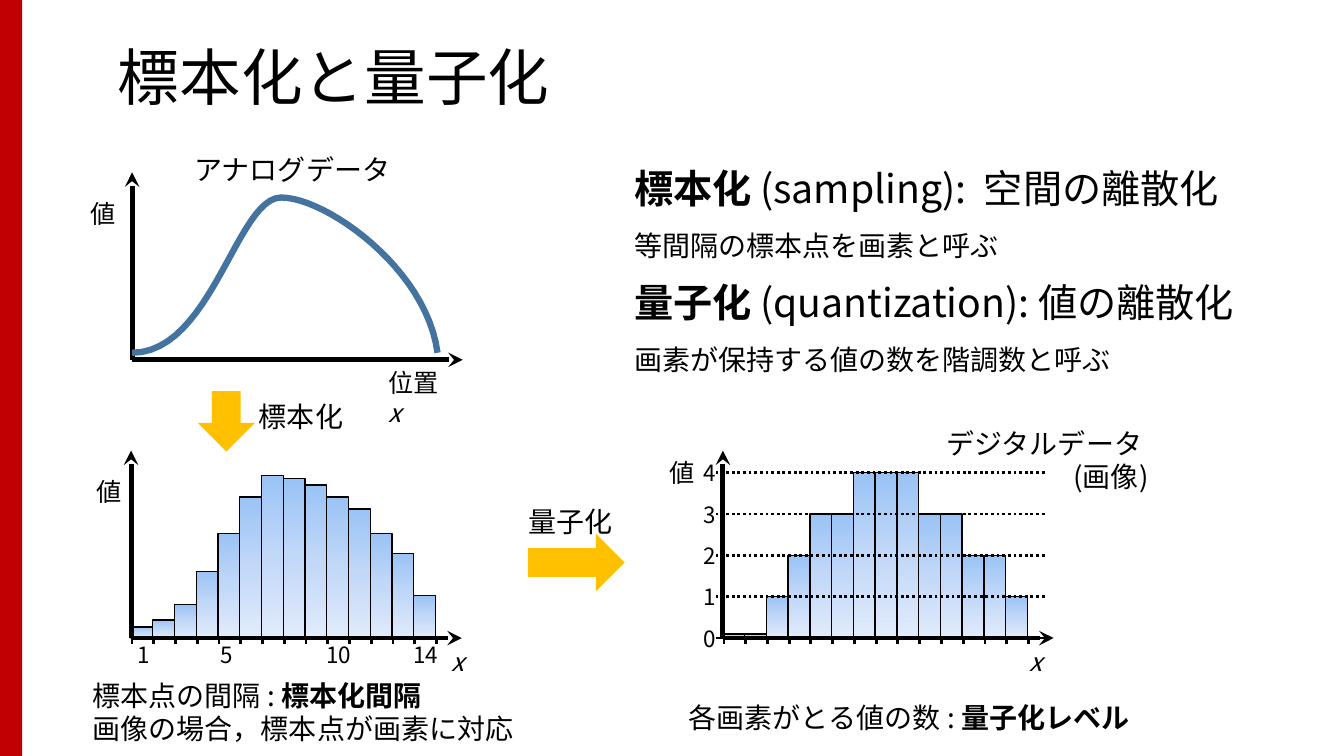
"""Builds a slide on sampling and quantization of an analog signal."""
from copy import deepcopy

from lxml.etree import SubElement
from pptx import Presentation
from pptx.dml.color import RGBColor
from pptx.enum.dml import MSO_LINE
from pptx.enum.shapes import MSO_CONNECTOR, MSO_SHAPE as SHAPE
from pptx.enum.text import MSO_ANCHOR as ANCHOR, MSO_AUTO_SIZE as AUTO, PP_ALIGN as ALIGN
from pptx.oxml.ns import qn
from pptx.util import Inches, Pt

FONT = "Noto Sans CJK JP"
COLORS = {"text": "000000", "band": "C00000", "curve": "43739E", "arrow": "FFC000"}
BAR_SHADES = ["9AC3F5", "C2D8F8", "E1EBFB"]
WIDTH, HEIGHT = 13.33, 7.5

TITLE = "標本化と量子化"
BOLD, ITALIC = "bold", "italic"
DEFINITIONS = [
    [("標本化", 28, BOLD), (" (sampling):  空間の離散化", 28)],
    [("等間隔の標本点を画素と呼ぶ", 20)],
    [("量子化 ", 28, BOLD), ("(quantization): 値の離散化", 28)],
    [("画素が保持する値の数を階調数と呼ぶ", 20)],
]
LABELS = [
    ((1.83, 1.46, 2.17, 0.44), [[("アナログデータ", 20)]]),
    ((0.8, 1.92, 0.45, 0.4), [[("値", 18)]]),
    ((6.54, 4.49, 0.45, 0.4), [[("値", 18)]]),
    ((0.86, 4.68, 0.45, 0.4), [[("値", 18)]]),
    ((10.11, 6.36, 0.34, 0.4), [[("x", 18, ITALIC)]]),
    ((4.38, 6.36, 0.34, 0.4), [[("x", 18, ITALIC)]]),
    ((2.47, 3.91, 1.04, 0.44), [[("標本化", 20)]]),
    ((5.14, 4.96, 1.04, 0.44), [[("量子化", 20)]]),
    ((0.82, 6.68, 4.41, 0.77), [[("標本点の間隔 : ", 20), ("標本化間隔", 20, BOLD)],
                                [("画像の場合，標本点が画素に対応", 20)]]),
    ((6.73, 6.9, 4.72, 0.44), [[("各画素がとる値の数 : ", 20), ("量子化レベル", 20, BOLD)]]),
]
POSITION = [[("位置", 18), ("x", 18, ITALIC)]]
DIGITAL = [[("デジタルデータ ", 20)], [("(画像)", 20)]]
SAMPLE_NUMBERS = [("1", 1.27, 0.34), ("5", 2.09, 0.34), ("10", 3.14, 0.48), ("14", 4.0, 0.48)]

ANALOG_ORIGIN, SAMPLED_ORIGIN, DIGITAL_ORIGIN = (1.31, 3.57), (1.3, 6.33), (7.17, 6.33)
AXIS_X, AXIS_Y = 3.28, 1.86
CURVE = [((1.31, 3.5), (2.1, 3.5), (2.35, 1.96), (2.79, 1.96)),
         ((2.79, 1.96), (3.23, 1.96), (4.23, 2.66), (4.34, 3.5))]
CURVE_STEPS = 24
SAMPLES = [0.11, 0.18, 0.33, 0.66, 1.04, 1.4, 1.61, 1.58, 1.52, 1.4, 1.28, 1.04, 0.84, 0.42]
LEVELS = [0, 0, 1, 2, 3, 3, 4, 4, 4, 3, 3, 2, 2, 1]
LEVEL_STEP, ZERO_BAR = 0.41, 0.04
BAR_PITCH = 3.02 / len(SAMPLES)
TICK = 0.06

prs = Presentation()
prs.slide_width, prs.slide_height = Inches(WIDTH), Inches(HEIGHT)
slide = prs.slides.add_slide(prs.slide_layouts[5])
shapes = slide.shapes


def rgb(name):
    return RGBColor.from_string(COLORS[name])


def box(*lengths):
    return [Inches(length) for length in lengths]


def write(frame, paragraphs, align=ALIGN.LEFT, before=0):
    for index, runs in enumerate(paragraphs):
        paragraph = frame.add_paragraph() if index else frame.paragraphs[0]
        paragraph.alignment = align
        paragraph.space_before = Pt(before)
        for text, size, *style in runs:
            run = paragraph.add_run()
            run.text = text
            font = run.font
            font.name, font.size, font.color.rgb = FONT, Pt(size), rgb("text")
            font.bold, font.italic = BOLD in style, ITALIC in style
            SubElement(font._element, qn("a:ea"), typeface=FONT)


def add_label(place, paragraphs, wrap=False, **layout):
    frame = shapes.add_textbox(*box(*place)).text_frame
    frame.word_wrap = wrap
    frame.auto_size = AUTO.SHAPE_TO_FIT_TEXT
    write(frame, paragraphs, **layout)


def add_line(start, end, width, arrow=False, dotted=False):
    connector = shapes.add_connector(MSO_CONNECTOR.STRAIGHT, *box(*start, *end))
    line = connector.line
    line.color.rgb, line.width = rgb("text"), Pt(width)
    if dotted:
        line.dash_style = MSO_LINE.ROUND_DOT
    if arrow:
        SubElement(line._get_or_add_ln(), qn("a:tailEnd"), type="stealth")
    SubElement(connector._element.spPr, qn("a:effectLst"))


def add_block(kind, place, color):
    block = shapes.add_shape(kind, *box(*place))
    block.shadow.inherit = False
    block.fill.solid()
    block.fill.fore_color.rgb = rgb(color)
    block.line.fill.background()
    return block


def add_bar(left, base, height):
    bar = shapes.add_shape(SHAPE.RECTANGLE, *box(left, base - height, BAR_PITCH, height))
    bar.shadow.inherit = False
    bar.line.color.rgb, bar.line.width = rgb("text"), Pt(1)
    bar.fill.gradient()
    bar.fill.gradient_angle = 270
    stop_list = bar._element.spPr.find(".//" + qn("a:gsLst"))
    stop_list.insert(1, deepcopy(stop_list[0]))
    for index, (stop, shade) in enumerate(zip(bar.fill.gradient_stops, BAR_SHADES)):
        stop.position = index / 2
        stop.color.rgb = RGBColor.from_string(shade)


def add_axes(origin):
    x, y = origin
    add_line(origin, (x + AXIS_X, y), 3.5, arrow=True)
    add_line(origin, (x, y - AXIS_Y), 3.5, arrow=True)


def add_histogram(origin, heights):
    x, base = origin
    for index, height in enumerate(heights):
        add_bar(x + index * BAR_PITCH, base, height)
    add_axes(origin)
    for index in range(len(heights) + 1):
        tick = x + 0.01 + index * BAR_PITCH
        add_line((tick, base), (tick, base + TICK), 2)


def bezier(points, t):
    weights = ((1 - t) ** 3, 3 * t * (1 - t) ** 2, 3 * t * t * (1 - t), t ** 3)
    return [Inches(sum(w * p[axis] for w, p in zip(weights, points))) for axis in (0, 1)]


def add_curve():
    trace = [bezier(part, step / CURVE_STEPS) for part in CURVE for step in range(CURVE_STEPS + 1)]
    builder = shapes.build_freeform(*trace[0])
    builder.add_line_segments(trace[1:], close=False)
    curve = builder.convert_to_shape()
    curve.shadow.inherit = False
    curve.fill.background()
    curve.line.color.rgb, curve.line.width = rgb("curve"), Pt(4.5)


def add_title():
    title = shapes.title
    title.left, title.top, title.width, title.height = box(1.07, 0.4, 11.06, 0.8)
    frame = title.text_frame
    frame.auto_size, frame.vertical_anchor = AUTO.NONE, ANCHOR.MIDDLE
    write(frame, [[(TITLE, 44)]])
    frame.paragraphs[0].line_spacing = 0.9


def main():
    add_block(SHAPE.RECTANGLE, (0, 0, 0.22, HEIGHT), "band")
    add_title()
    add_axes(ANALOG_ORIGIN)
    add_curve()
    add_histogram(DIGITAL_ORIGIN, [level * LEVEL_STEP or ZERO_BAR for level in LEVELS])
    for level in range(max(LEVELS) + 1):
        y = DIGITAL_ORIGIN[1] - level * LEVEL_STEP
        add_line((10.36, y), (7.1, y), 2, dotted=level > 0)
        add_label((6.88, y - 0.18, 0.34, 0.37), [[(str(level), 16)]])
    add_histogram(SAMPLED_ORIGIN, SAMPLES)
    for number, left, width in SAMPLE_NUMBERS:
        add_label((left, 6.31, width, 0.37), [[(number, 16)]])
    add_block(SHAPE.DOWN_ARROW, (1.96, 3.88, 0.57, 0.6), "arrow")
    add_block(SHAPE.DOWN_ARROW, (5.43, 5.1, 0.57, 0.96), "arrow").rotation = 270
    for place, paragraphs in LABELS:
        add_label(place, paragraphs)
    add_label((3.75, 3.59, 0.75, 0.4), POSITION, wrap=True)
    add_label((9.23, 4.18, 2.26, 0.77), DIGITAL, align=ALIGN.RIGHT)
    add_label((6.19, 1.58, 7.14, 2.22), DEFINITIONS, wrap=True, before=12)
    prs.save("out.pptx")


if __name__ == "__main__":
    main()
